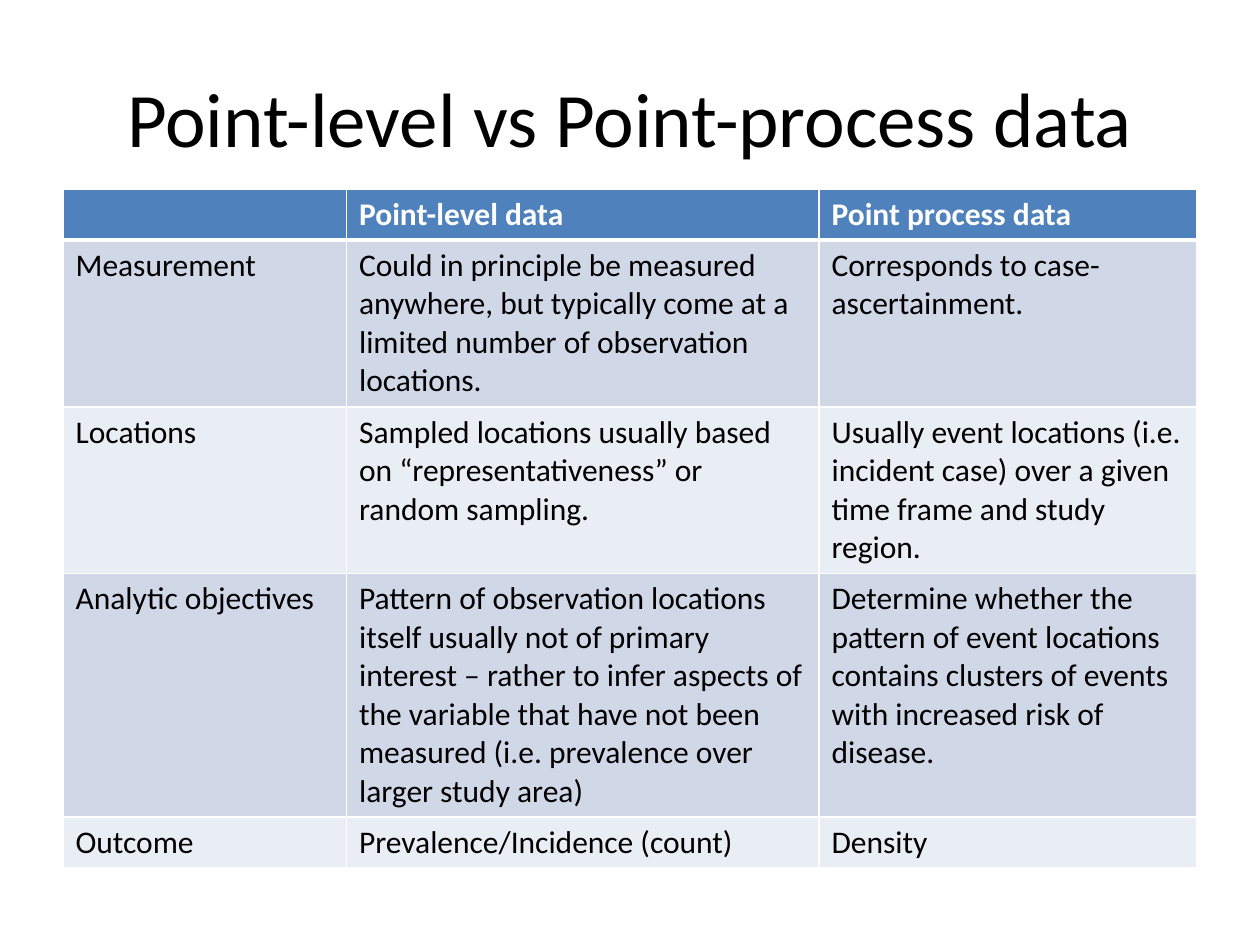
from dataclasses import dataclass

from lxml.etree import SubElement
from pptx import Presentation
from pptx.dml.color import RGBColor
from pptx.enum.text import MSO_ANCHOR as Anchor, PP_ALIGN as Align
from pptx.oxml.ns import qn
from pptx.util import Emu, Pt

EMU_PER_PX = 9525
FONT = "Calibri"
WHITE, BLACK, HEADER_BLUE = "FFFFFF", "000000", "4F81BD"
BANDS = ("D0D8E8", "E9EDF4")
COLUMN_WIDTHS = (216, 360, 288)


@dataclass(frozen=True)
class Row:
    height: int
    texts: tuple[str, str, str]


ROWS = (
    Row(39, ("", "Point-level data", "Point process data")),
    Row(127, (
        "Measurement",
        "Could in principle be measured anywhere, but typically come at a "
        "limited number of observation locations.",
        "Corresponds to case-ascertainment.",
    )),
    Row(127, (
        "Locations",
        "Sampled locations usually based on “representativeness” or random sampling.",
        "Usually event locations (i.e. incident case) over a given time frame "
        "and study region.",
    )),
    Row(185, (
        "Analytic objectives",
        "Pattern of observation locations itself usually not of primary interest "
        "– rather to infer aspects of the variable that have not been measured "
        "(i.e. prevalence over larger study area)",
        "Determine whether the pattern of event locations contains clusters of "
        "events with increased risk of disease.",
    )),
    Row(39, ("Outcome", "Prevalence/Incidence (count)", "Density")),
)


def px(length: int) -> Emu:
    return Emu(length * EMU_PER_PX)


def color(value: str) -> RGBColor:
    return RGBColor.from_string(value)


def add_span(para, text: str, size: int, ink: str, bold: bool = False) -> None:
    span = para.add_run()
    span.text = text
    span.font.name = FONT
    span.font.size = Pt(size)
    span.font.bold = bold
    span.font.color.rgb = color(ink)


def add_border(cell, side: str, width: int) -> None:
    properties = cell._tc.get_or_add_tcPr()
    line = SubElement(properties, qn(f"a:ln{side}"), w=str(Pt(width)))
    fill = SubElement(line, qn("a:solidFill"))
    SubElement(fill, qn("a:srgbClr"), val=WHITE)


def fill_row(table, index: int, row: Row) -> None:
    table.rows[index].height = px(row.height)
    is_header = index == 0
    background = HEADER_BLUE if is_header else BANDS[(index - 1) % 2]
    widths = {"L": 1, "R": 1, "T": 3 if index == 1 else 1, "B": 3 if is_header else 1}
    for column, text in enumerate(row.texts):
        cell = table.cell(index, column)
        for side, width in widths.items():
            add_border(cell, side, width)
        cell.fill.solid()
        cell.fill.fore_color.rgb = color(background)
        if text:
            ink = WHITE if is_header else BLACK
            add_span(cell.text_frame.paragraphs[0], text, 18, ink, is_header)


def add_title(page, text: str) -> None:
    title = page.shapes.title
    title.left, title.top, title.width, title.height = px(48), px(29), px(864), px(120)
    title.text_frame.vertical_anchor = Anchor.MIDDLE
    para = title.text_frame.paragraphs[0]
    para.alignment = Align.CENTER
    add_span(para, text, 44, BLACK)


def add_comparison(page) -> None:
    table = page.shapes.add_table(
        len(ROWS), len(COLUMN_WIDTHS), px(48), px(144),
        px(sum(COLUMN_WIDTHS)), px(sum(row.height for row in ROWS)),
    ).table
    for column, width in zip(table.columns, COLUMN_WIDTHS):
        column.width = px(width)
    for index, row in enumerate(ROWS):
        fill_row(table, index, row)


def main() -> None:
    deck = Presentation()
    deck.slide_width, deck.slide_height = px(960), px(720)
    page = deck.slides.add_slide(deck.slide_layouts[5])
    add_title(page, "Point-level vs Point-process data")
    add_comparison(page)
    deck.save("out.pptx")


if __name__ == "__main__":
    main()
